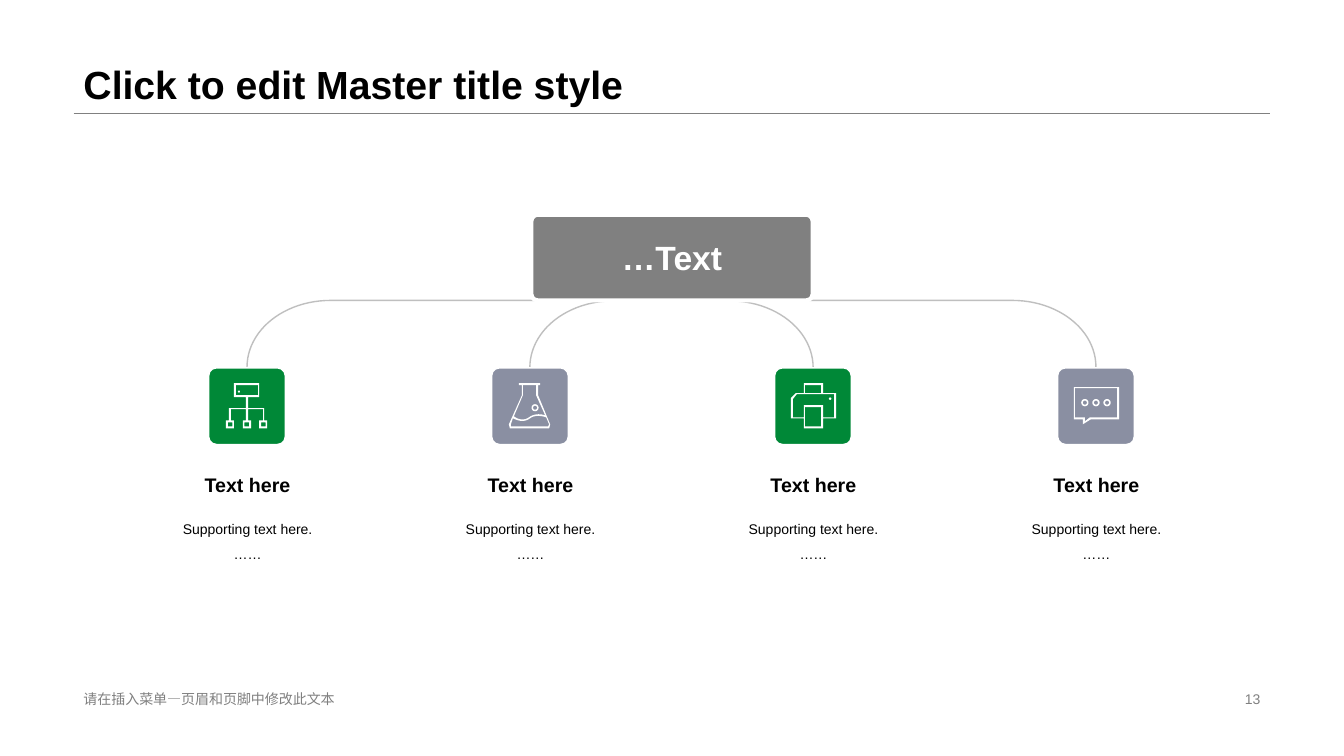
from math import cos, pi, sin

from lxml.etree import SubElement
from pptx import Presentation
from pptx.dml.color import RGBColor
from pptx.enum.shapes import MSO_CONNECTOR, MSO_SHAPE
from pptx.enum.text import MSO_ANCHOR, PP_ALIGN
from pptx.oxml.ns import qn
from pptx.util import Inches, Pt

COLORS = {
    "black": "000000",
    "white": "FFFFFF",
    "gray": "808080",
    "pale": "BFBFBF",
    "green": "008837",
    "slate": "8A8FA2",
}
LEFT, RIGHT = 2.07, 10.49
TILE, TOP = 0.76, 3.65


def color(name):
    return RGBColor.from_string(COLORS[name])


def box(left, top, right, base):
    return [(left, top), (right, top), (right, base), (left, base)]


def ring(mid_x, mid_y, size, count=24):
    turns = [2 * pi * i / count for i in range(count)]
    return [(mid_x + size * cos(a), mid_y + size * sin(a)) for a in turns]


def curve(*knots, count=8):
    points = []
    for i in range(count + 1):
        t = i / count
        parts = ((1 - t) ** 3, 3 * t * (1 - t) ** 2, 3 * t * t * (1 - t), t ** 3)
        points.append(tuple(sum(w * k[n] for w, k in zip(parts, knots)) for n in (0, 1)))
    return points


def network():
    outer = [
        (50, 15), (50, 29), (39, 29), (39, 40), (55, 40), (55, 52), (58, 52), (58, 60),
        (50, 60), (50, 52), (54, 52), (54, 41), (39, 41), (39, 52), (42, 52), (42, 60),
        (34, 60), (34, 52), (37, 52), (37, 41), (22, 41), (22, 52), (25, 52), (25, 60),
        (17, 60), (17, 52), (20, 52), (20, 40), (37, 40), (37, 29), (25, 29), (25, 15),
    ]
    nodes = [box(x, 54, x + 4.5, 58) for x in (19, 35.5, 52)]
    return [outer, box(27, 17, 49, 27), ring(30, 23.5, 1), *nodes]


def flask():
    outer = [
        (48, 15), (48, 17), (46, 17), (46, 27), (58, 56), (57, 60),
        (18, 60), (17, 56), (30, 27), (30, 17), (27, 17), (27, 15),
    ]
    lower = [
        *curve((38, 50), (33, 54), (27, 53), (21, 50)),
        (19, 56), (19, 58), (56, 58), (57, 56),
        *curve((54, 49), (48, 47), (42, 47), (38, 50)),
    ]
    upper = [
        (44, 17), (31, 17), (31, 27),
        *curve((22, 48), (27, 52), (33, 52), (37, 49)),
        *curve((37, 49), (41, 46), (47, 45), (53, 47)),
        (44, 27),
    ]
    return [outer, lower, upper, ring(43, 39.5, 3.5), ring(43, 39.5, 2)]


def printer():
    outer = [
        (48, 15), (48, 25), (61, 25), (61, 50), (48, 50), (48, 60), (29, 60),
        (29, 50), (16, 50), (16, 30), (21, 25), (29, 25), (29, 15),
    ]
    body = [
        (59, 26), (22, 26), (18, 31), (18, 49), (29, 49),
        (29, 37), (48, 37), (48, 49), (59, 49),
    ]
    return [outer, body, box(30, 39, 46, 58), box(30, 17, 46, 25), ring(55, 30.5, 1.2)]


def bubble():
    outer = [(61, 19), (61, 51), (33, 51), (25, 56), (25, 51), (16, 51), (16, 19)]
    inner = [(59, 20), (17, 20), (17, 49), (27, 49), (27, 53), (32, 49), (59, 49)]
    dots = [ring(x, 34.5, size) for x in (27, 38, 49) for size in (3.6, 2)]
    return [outer, inner, *dots]


def write(shape, lines, size, tone="black", bold=False, align=PP_ALIGN.LEFT,
          anchor=MSO_ANCHOR.MIDDLE, space=1.0):
    frame = shape.text_frame
    frame.word_wrap = True
    frame.vertical_anchor = anchor
    frame.text = "\n".join(lines)
    for para in frame.paragraphs:
        para.alignment = align
        para.line_spacing = space
        for run in para.runs:
            run.font.name = "Arial"
            run.font.size = Pt(size)
            run.font.bold = bold
            run.font.color.rgb = color(tone)


def label(slide, area, lines, size, **style):
    write(slide.shapes.add_textbox(*map(Inches, area)), lines, size, **style)


def shape(slide, kind, area, ratio, line, width, fill=None):
    item = slide.shapes.add_shape(kind, *map(Inches, area))
    item.shadow.inherit = False
    item.adjustments[0] = ratio
    item.line.color.rgb = color(line)
    item.line.width = Pt(width)
    if fill:
        item.fill.solid()
        item.fill.fore_color.rgb = color(fill)
    else:
        item.fill.background()
    return item


def bracket(slide, top, span):
    area = (6.33, top, 0.66, span)
    shape(slide, MSO_SHAPE.RIGHT_BRACKET, area, 1.252, "pale", 1).rotation = 270


def icon(slide, left, loops):
    unit = Inches(0.01)
    loops = [[(x * unit, y * unit) for x, y in loop] for loop in loops]
    pen = slide.shapes.build_freeform(*loops[0][0])
    pen.add_line_segments(loops[0][1:])
    for loop in loops[1:]:
        pen.move_to(*loop[0])
        pen.add_line_segments(loop[1:])
    item = pen.convert_to_shape(Inches(left), Inches(TOP))
    item.shadow.inherit = False
    item.fill.solid()
    item.fill.fore_color.rgb = color("white")
    item.line.fill.background()


def rule(slide):
    ends = map(Inches, (0.73, 1.12, 12.6, 1.12))
    line = slide.shapes.add_connector(MSO_CONNECTOR.STRAIGHT, *ends)
    line.line.color.rgb = color("gray")
    line.line.width = Pt(0.25)
    SubElement(line._element.spPr, qn("a:effectLst"))


def branch(slide, left, fill, loops):
    area = (left, TOP, TILE, TILE)
    shape(slide, MSO_SHAPE.ROUNDED_RECTANGLE, area, 0.102, "white", 1, fill)
    icon(slide, left, loops)
    edge = left - 0.58
    label(slide, (edge, 4.59, 1.93, 0.44), ["Text here"], 14, bold=True,
          align=PP_ALIGN.CENTER)
    label(slide, (edge, 5.03, 1.93, 0.61), ["Supporting text here.", "……"], 10,
          align=PP_ALIGN.CENTER, anchor=MSO_ANCHOR.TOP, space=1.5)


def main():
    deck = Presentation()
    deck.slide_width, deck.slide_height = Inches(13.33), Inches(7.5)
    slide = deck.slides.add_slide(deck.slide_layouts[6])

    rule(slide)
    label(slide, (0.73, 0, 11.87, 1.12), ["Click to edit Master title style"], 28,
          bold=True, anchor=MSO_ANCHOR.BOTTOM, space=0.9)
    label(slide, (0.73, 6.82, 4.53, 0.23), ["请在插入菜单—页眉和页脚中修改此文本"], 10,
          tone="gray")
    label(slide, (9.42, 6.82, 3.18, 0.23), ["13"], 10, tone="gray",
          align=PP_ALIGN.RIGHT)

    bracket(slide, -0.9, 8.42)
    bracket(slide, 1.91, 2.81)
    root = shape(slide, MSO_SHAPE.ROUNDED_RECTANGLE, (5.27, 2.13, 2.79, 0.85),
                 0.074, "white", 3, "gray")
    write(root, ["…Text"], 24, tone="white", bold=True, align=PP_ALIGN.CENTER)

    icons = (network, flask, printer, bubble)
    step = (RIGHT - LEFT) / (len(icons) - 1)
    for i, draw in enumerate(icons):
        branch(slide, LEFT + i * step, ("green", "slate")[i % 2], draw())

    deck.save("out.pptx")


if __name__ == "__main__":
    main()
